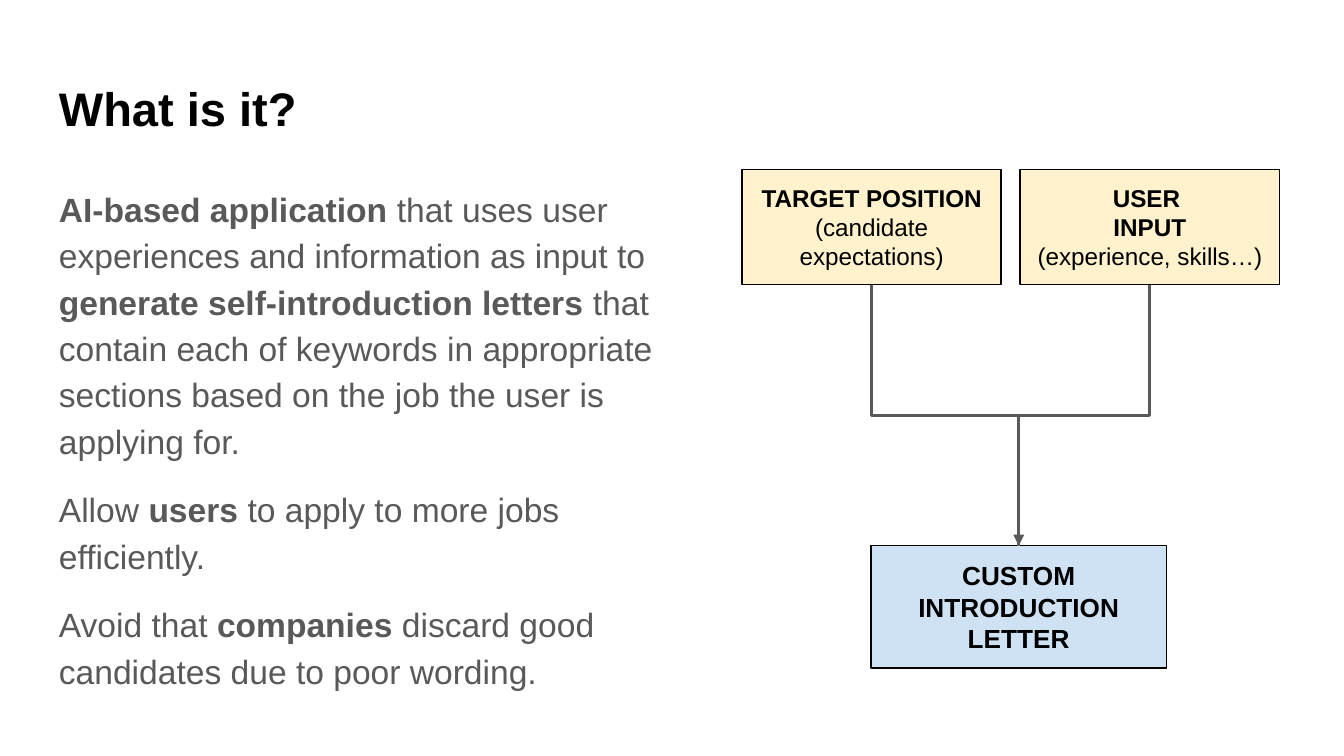
from lxml.etree import SubElement
from pptx import Presentation
from pptx.dml.color import RGBColor
from pptx.enum.shapes import MSO_CONNECTOR as Conn, MSO_SHAPE as Shape
from pptx.enum.text import MSO_ANCHOR as Anchor, PP_ALIGN as Align
from pptx.oxml.ns import qn
from pptx.util import Inches, Pt

WIDE = 10
HIGH = WIDE * 9 / 16
FONT = "Arial"
HEX = {"black": "000000", "gray": "595959", "cream": "FFF2CC", "blue": "CFE2F3"}

TITLE = ["**What is it?**"]
BODY = [
    "**AI-based application** that uses user experiences and information as input to "
    "**generate self-introduction letters** that contain each of keywords in "
    "appropriate sections based on the job the user is applying for.",
    "Allow **users **to apply to more jobs efficiently.",
    "Avoid that **companies **discard good candidates due to poor wording.",
]
INPUTS = [
    ["**TARGET POSITION**", "(candidate expectations)"],
    ["**USER **", "**INPUT**", "(experience, skills…)"],
]
OUTPUT = ["**CUSTOM INTRODUCTION LETTER**"]

EDGE, TOP = 0.34, 1.26
COL, STEP, TALL = 1.93, 2.07, 0.86
LEFT = 5.52


def color(name):
    return RGBColor.from_string(HEX[name])


def write(shape, lines, size, tint, align=Align.LEFT, anchor=Anchor.TOP):
    frame = shape.text_frame
    frame.word_wrap = True
    frame.vertical_anchor = anchor
    frame.margin_left = frame.margin_right = Inches(0.1)
    frame.margin_top = frame.margin_bottom = Inches(0.1)
    for i, line in enumerate(lines):
        para = frame.paragraphs[0] if i == 0 else frame.add_paragraph()
        para.alignment = align
        for j, part in enumerate(line.split("**")):
            if part:
                run = para.add_run()
                run.text = part
                run.font.name, run.font.size = FONT, Pt(size)
                run.font.bold = j % 2 == 1
                run.font.color.rgb = color(tint)
    return frame


def text(x, y, w, h, lines, size, tint):
    box = slide.shapes.add_textbox(*map(Inches, (x, y, w, h)))
    return write(box, lines, size, tint)


def block(x, y, w, h, lines, size, fill):
    box = slide.shapes.add_shape(Shape.RECTANGLE, *map(Inches, (x, y, w, h)))
    box.shadow.inherit = False
    box.fill.solid()
    box.fill.fore_color.rgb = color(fill)
    box.line.color.rgb = color("black")
    box.line.width = Pt(0.75)
    write(box, lines, size, "black", Align.CENTER, Anchor.MIDDLE)
    return box


def join(start, end, arrow):
    link = slide.shapes.add_connector(Conn.ELBOW, 0, 0, 0, 0)
    link.begin_connect(start, 2)
    link.end_connect(end, 0)
    x1, y1 = start.left + start.width // 2, start.top + start.height
    x2, y2 = end.left + end.width // 2, end.top
    link.width, link.height = y2 - y1, abs(x2 - x1)
    link.left = (x1 + x2 - link.width) // 2
    link.top = (y1 + y2 - link.height) // 2
    props = link._element.spPr
    form = props.find(qn("a:xfrm"))
    for key in ("flipH", "flipV"):
        form.attrib.pop(key, None)
    right = x2 > x1
    form.set("rot", str((270 if right else 90) * 60000))
    if right:
        form.set("flipH", "1")
    link.line.color.rgb = color("gray")
    link.line.width = Pt(1.5)
    if arrow:
        SubElement(props.find(qn("a:ln")), qn("a:tailEnd"), type="triangle")
    SubElement(props, qn("a:effectLst"))


deck = Presentation()
deck.slide_width, deck.slide_height = Inches(WIDE), Inches(HIGH)
slide = deck.slides.add_slide(deck.slide_layouts[6])

text(EDGE, 0.49, WIDE - 2 * EDGE, 0.63, TITLE, 25.2, "black")
body = text(EDGE, TOP, WIDE / 2 - EDGE, 4.01, BODY, 18, "gray")
for i, para in enumerate(body.paragraphs):
    para.line_spacing = 1.15
    para.space_before = Pt(12 if i else 0)
para.space_after = Pt(12)

tops = [block(LEFT + i * STEP, TOP, COL, TALL, lines, 13, "cream")
        for i, lines in enumerate(INPUTS)]
goal = block(6.48, 4.06, 2.2, 0.91, OUTPUT, 14, "blue")
for i, box in enumerate(tops):
    join(box, goal, arrow=i == 0)

deck.save("out.pptx")
